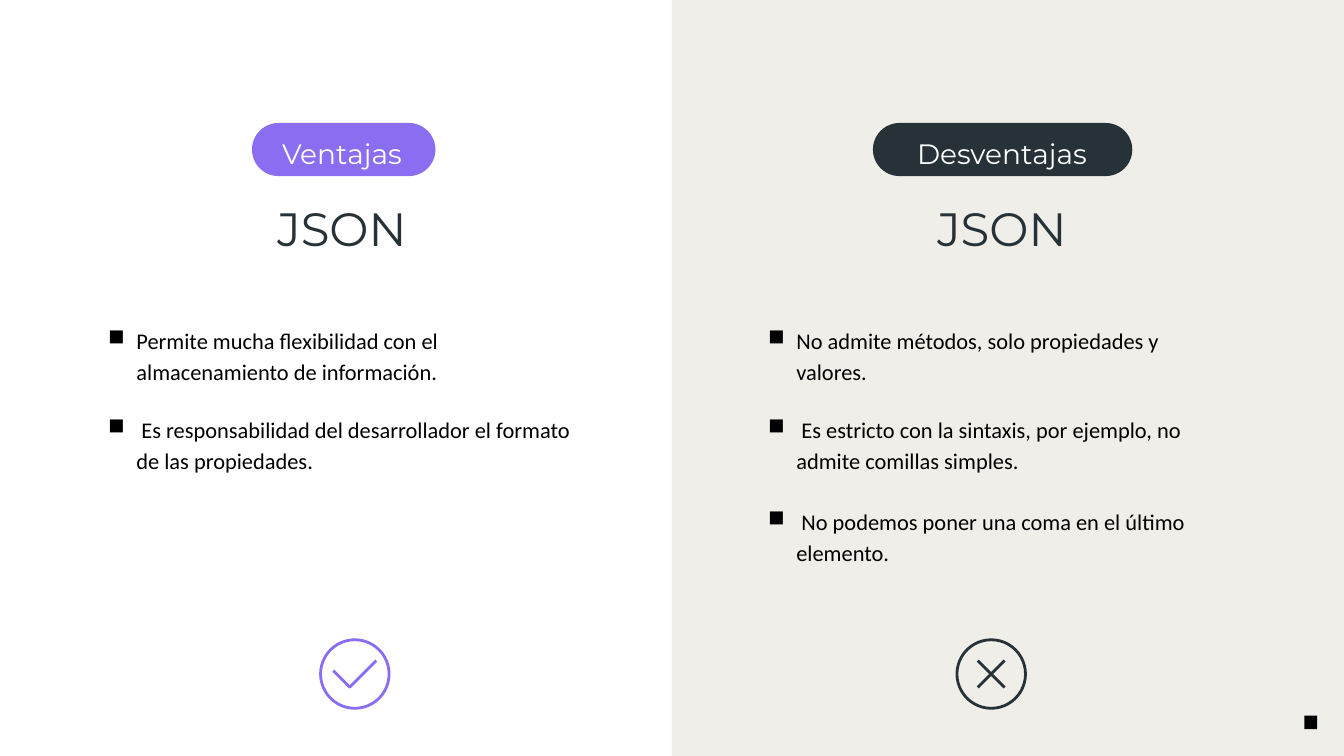
from lxml.etree import SubElement
from pptx import Presentation
from pptx.dml.color import RGBColor
from pptx.enum.shapes import MSO_CONNECTOR, MSO_SHAPE
from pptx.enum.text import MSO_ANCHOR, MSO_AUTO_SIZE, PP_ALIGN
from pptx.oxml.ns import qn
from pptx.util import Inches, Pt

# Content
PURPLE, DARK, WHITE, BLACK, SAND = "8A6DF1", "263238", "FFFFFF", "000000", "F0EEE8"
COLUMNS = [
    {
        "left": 0.83, "title": "JSON", "label": "Ventajas", "color": PURPLE,
        "pill": (3.75, 2.73), "ring_left": 4.77,
        "points": [  # space before in points, text
            (0, "Permite mucha flexibilidad con el almacenamiento de información."),
            (29, " Es responsabilidad del desarrollador el formato de las propiedades."),
        ],
        "strokes": [(0.19, 0.46, 0.44, 0.71), (0.83, 0.31, 0.43, 0.71)],
    },
    {
        "left": 10.65, "title": "JSON", "label": "Desventajas", "color": DARK,
        "pill": (12.99, 3.86), "ring_left": 14.24,
        "points": [
            (0, "No admite métodos, solo propiedades y valores."),
            (29, " Es estricto con la sintaxis, por ejemplo, no admite comillas simples."),
            (32, " No podemos poner una coma en el último elemento."),
        ],
        "strokes": [(0.31, 0.31, 0.71, 0.71), (0.71, 0.31, 0.31, 0.71)],
    },
]
COLUMN_WIDTH, RING_TOP, RING_SIZE = 8.52, 9.52, 1.02


def rgb(color):
    return RGBColor.from_string(color)


def add_figure(kind, left, top, width, height, fill=None, line=None):
    figure = slide.shapes.add_shape(kind, *map(Inches, (left, top, width, height)))
    figure.shadow.inherit = False
    if fill:
        figure.fill.solid()
        figure.fill.fore_color.rgb = rgb(fill)
    else:
        figure.fill.background()
    if line:
        figure.line.color.rgb = rgb(line)
        figure.line.width = Pt(3)
    else:
        figure.line.fill.background()
    return figure


def add_stroke(x1, y1, x2, y2, color):
    stroke = slide.shapes.add_connector(
        MSO_CONNECTOR.STRAIGHT, *map(Inches, (x1, y1, x2, y2)))
    stroke.line.color.rgb = rgb(color)
    stroke.line.width = Pt(3)
    SubElement(stroke.line._get_or_add_ln().getparent(), qn("a:effectLst"))


def add_box(left, top, width, height):
    return slide.shapes.add_textbox(*map(Inches, (left, top, width, height)))


def set_frame(box, left, top, right, bottom):
    frame = box.text_frame
    frame.word_wrap = True
    frame.auto_size = MSO_AUTO_SIZE.NONE
    frame.vertical_anchor = MSO_ANCHOR.TOP
    frame.margin_left, frame.margin_top = Inches(left), Inches(top)
    frame.margin_right, frame.margin_bottom = Inches(right), Inches(bottom)
    return frame


def write(paragraph, text, size, font, color, spacing=1.0, align=PP_ALIGN.CENTER):
    paragraph.alignment = align
    paragraph.line_spacing = spacing
    run = paragraph.add_run()
    run.text = text
    run.font.size, run.font.name = Pt(size), font
    run.font.color.rgb = rgb(color)


def add_bullet(paragraph):
    props = paragraph._p.get_or_add_pPr()
    props.set("marL", str(Inches(0.5)))
    props.set("indent", str(Inches(-0.42)))
    SubElement(SubElement(props, qn("a:buClr")), qn("a:srgbClr"), val=BLACK)
    SubElement(props, qn("a:buChar"), char="■")


prs = Presentation()
prs.slide_width, prs.slide_height = Inches(20), Inches(11.25)
slide = prs.slides.add_slide(prs.slide_layouts[5])

# Right half and corner mark
add_figure(MSO_SHAPE.RECTANGLE, 10, 0, 10, 11.25, fill=SAND)
add_figure(MSO_SHAPE.RECTANGLE, 19.41, 10.65, 0.19, 0.2, fill=BLACK)

for index, column in enumerate(COLUMNS):
    left, color = column["left"], column["color"]

    # Heading: the first one is the slide title
    area = (left, 2.87, COLUMN_WIDTH, 1.02)
    if index == 0:
        heading = slide.shapes.title
        heading.left, heading.top, heading.width, heading.height = map(Inches, area)
    else:
        heading = add_box(*area)
    frame = set_frame(heading, 0.1, 0.1, 0.1, 0.1)
    write(frame.paragraphs[0], column["title"], 50, "Montserrat", DARK)

    # Bullet points
    frame = set_frame(add_box(left + 0.7, 4.71, 7.11, 3.4), 0, 0.1, 0.1, 0.1)
    for number, (gap, point) in enumerate(column["points"]):
        paragraph = frame.add_paragraph() if number else frame.paragraphs[0]
        write(paragraph, point, 24, "Calibri", BLACK, 1.15, PP_ALIGN.LEFT)
        paragraph.space_before = Pt(gap)
        add_bullet(paragraph)

    # Pill with its label
    pill_left, pill_width = column["pill"]
    pill = add_figure(MSO_SHAPE.ROUNDED_RECTANGLE, pill_left, 1.83, pill_width, 0.79, fill=color)
    pill.adjustments[0] = 0.5
    frame = set_frame(add_box(left, 1.98, COLUMN_WIDTH, 0.5), 0, 0, 0, 0)
    write(frame.paragraphs[0], column["label"], 30, "Montserrat", WHITE, 1.1)

    # Ring with a tick or a cross
    ring_left = column["ring_left"]
    add_figure(MSO_SHAPE.OVAL, ring_left, RING_TOP, RING_SIZE, RING_SIZE, line=color)
    for x1, y1, x2, y2 in column["strokes"]:
        add_stroke(ring_left + x1, RING_TOP + y1, ring_left + x2, RING_TOP + y2, color)

prs.save("out.pptx")
